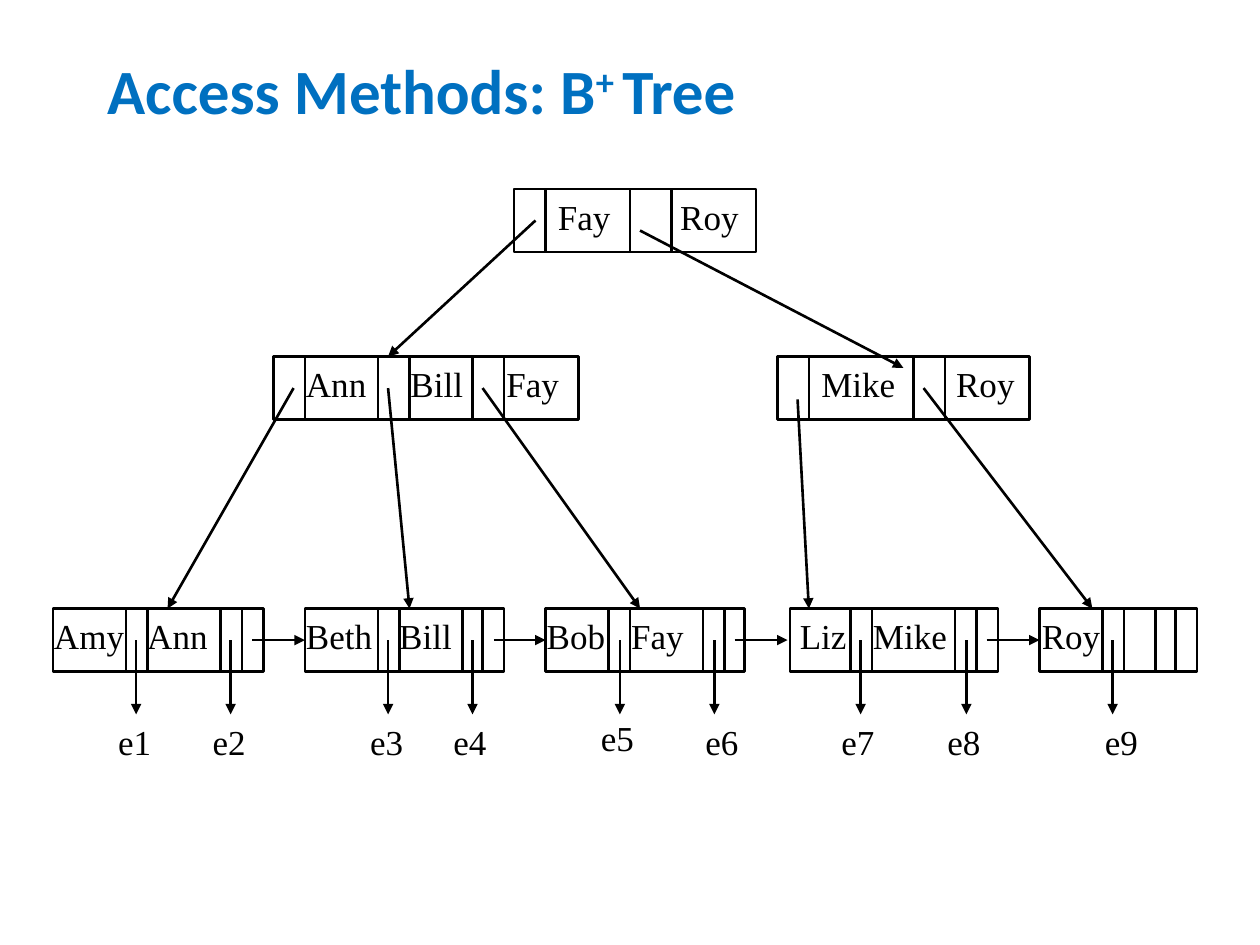
from pptx import Presentation
from pptx.dml.color import RGBColor
from pptx.enum.shapes import MSO_CONNECTOR as CONN, MSO_SHAPE as SHAPE
from pptx.enum.text import MSO_ANCHOR as ANCHOR, MSO_AUTO_SIZE as FIT, PP_ALIGN as ALIGN
from pptx.oxml.ns import qn
from pptx.util import Inches, Pt
from lxml.etree import SubElement

COLORS = {"title": "0070C0", "ink": "000000"}
TITLE_FONT, BODY_FONT = "Calibri", "Times New Roman"
NODE_H, TEXT_H, INSET = 0.5, 0.44, 0.1
ROOT_Y, INNER_Y, LEAF_Y = 1.5, 2.83, 4.83
LINK_Y, ENTRY_Y = 5.08, 5.67

# Nodes: left, top, width, divider positions, {key: text position}, text width
NODES = [
    (4.08, ROOT_Y, 1.92, (4.33, 5, 5.33), {"Fay": 4.43, "Roy": 5.4}, 1.83),
    (2.17, INNER_Y, 2.42, (2.42, 3, 3.25, 3.75, 4),
     {"Ann": 2.43, "Bill": 3.26, "Fay": 4.02}, 2.67),
    (6.17, INNER_Y, 2, (6.42, 7.25, 7.5), {"Mike": 6.52, "Roy": 7.59}, 2.33),
    (0.42, LEAF_Y, 1.67, (1, 1.17, 1.75, 1.92), {"Amy": 0.43, "Ann": 1.17}, 1.51),
    (2.42, LEAF_Y, 1.58, (3, 3.17, 3.67, 3.83), {"Beth": 2.43, "Bill": 3.17}, 2.25),
    (4.33, LEAF_Y, 1.58, (4.83, 5, 5.58, 5.75), {"Bob": 4.34, "Fay": 5.01}, 1.75),
    (6.27, LEAF_Y, 1.65, (6.75, 6.92, 7.58, 7.75), {"Liz": 6.35, "Mike": 6.93}, 2.17),
    (8.25, LEAF_Y, 1.25, (8.75, 8.92, 9.17, 9.33), {"Roy": 8.27}, 1.02),
]
# Pointers from a parent to a child: x1, y1, x2, y2
CHILD_POINTERS = [
    (4.25, 1.75, 3.08, INNER_Y), (5.08, 1.83, 7.17, 2.92),
    (2.33, 3.08, 1.33, LEAF_Y), (3.08, 3.08, 3.25, LEAF_Y),
    (3.83, 3.08, 5.08, LEAF_Y), (6.33, 3.17, 6.42, LEAF_Y),
    (7.33, 3.08, 8.67, LEAF_Y),
]
# Links between neighbouring leaves: x1, x2
LEAF_LINKS = [(2, 2.42), (3.92, 4.33), (5.83, 6.25), (7.83, 8.25)]
# Data entries: pointer x, label left, label top
ENTRIES = [
    (1.08, 0.84, ENTRY_Y), (1.83, 1.59, ENTRY_Y), (3.08, 2.84, ENTRY_Y),
    (3.75, 3.5, ENTRY_Y), (4.92, 4.67, 5.64), (5.67, 5.5, ENTRY_Y),
    (6.83, 6.58, ENTRY_Y), (7.67, 7.42, ENTRY_Y), (8.83, 8.67, ENTRY_Y),
]


class TreeSlide:
    def __init__(self, prs):
        self.slide = prs.slides.add_slide(prs.slide_layouts[5])
        self.shapes = self.slide.shapes
        self.ink = RGBColor.from_string(COLORS["ink"])
        self.weight = Pt(1.5)

    def title(self, *parts):
        """Each part is a text and its baseline shift in percent."""
        sp = self.shapes.title
        sp.left, sp.top, sp.width, sp.height = map(Inches, (0.75, 0.25, 8.5, 1))
        tf = sp.text_frame
        tf.auto_size, tf.vertical_anchor = FIT.NONE, ANCHOR.MIDDLE
        p = tf.paragraphs[0]
        p.alignment, p.line_spacing = ALIGN.LEFT, 0.9
        p.font.name, p.font.size, p.font.bold = TITLE_FONT, Pt(36), True
        p.font.color.rgb = RGBColor.from_string(COLORS["title"])
        for text, shift in parts:
            r = p.add_run()
            r.text = text
            if shift:
                r._r.get_or_add_rPr().set("baseline", str(shift * 1000))

    def text(self, text, left, top, width, wrap=True, tabs=()):
        sp = self.shapes.add_textbox(*map(Inches, (left, top, width, TEXT_H)))
        tf = sp.text_frame
        tf.word_wrap, tf.auto_size = wrap, FIT.SHAPE_TO_FIT_TEXT
        p = tf.paragraphs[0]
        p.text = text
        p.font.name, p.font.size = BODY_FONT, Pt(20)
        p.font.color.rgb = self.ink
        if tabs:
            stops = p._p.get_or_add_pPr()
            tab_list = stops.find(qn("a:tabLst"))
            if tab_list is None:
                # Tab stops come before the default run properties
                tab_list = SubElement(stops, qn("a:tabLst"))
                stops.find(qn("a:defRPr")).addprevious(tab_list)
            for x in tabs:
                SubElement(tab_list, qn("a:tab"), pos=str(Inches(x)), algn="l")

    def line(self, x1, y1, x2, y2, arrow=False):
        cn = self.shapes.add_connector(CONN.STRAIGHT, *map(Inches, (x1, y1, x2, y2)))
        cn.line.color.rgb, cn.line.width = self.ink, self.weight
        if arrow:
            SubElement(cn.line._get_or_add_ln(), qn("a:tailEnd"), type="triangle")
        SubElement(cn._element.spPr, qn("a:effectLst"))

    def node(self, left, top, width, dividers, keys, text_width):
        sp = self.shapes.add_shape(SHAPE.RECTANGLE, *map(Inches, (left, top, width, NODE_H)))
        sp.shadow.inherit = False
        sp.fill.background()
        sp.line.color.rgb, sp.line.width = self.ink, self.weight
        for x in dividers:
            self.line(x, top, x, top + NODE_H)
        first, *others = keys.values()
        self.text("\t".join(keys), first - INSET, top, text_width,
                  tabs=[x - first for x in others])


def main():
    prs = Presentation()
    prs.slide_width, prs.slide_height = Inches(10), Inches(7.5)
    s = TreeSlide(prs)
    s.title(("Access Methods: B", 0), ("+ ", 30), ("Tree", 0))

    # Tree nodes
    for node in NODES:
        s.node(*node)

    # Pointers and leaf links
    for pointer in CHILD_POINTERS:
        s.line(*pointer, arrow=True)
    for x1, x2 in LEAF_LINKS:
        s.line(x1, LINK_Y, x2, LINK_Y, arrow=True)

    # Data entries
    for number, (x, left, top) in enumerate(ENTRIES, 1):
        s.line(x, LINK_Y, x, ENTRY_Y, arrow=True)
        s.text(f"e{number}", left, top, 0.46, wrap=False)

    prs.save("out.pptx")


if __name__ == "__main__":
    main()
